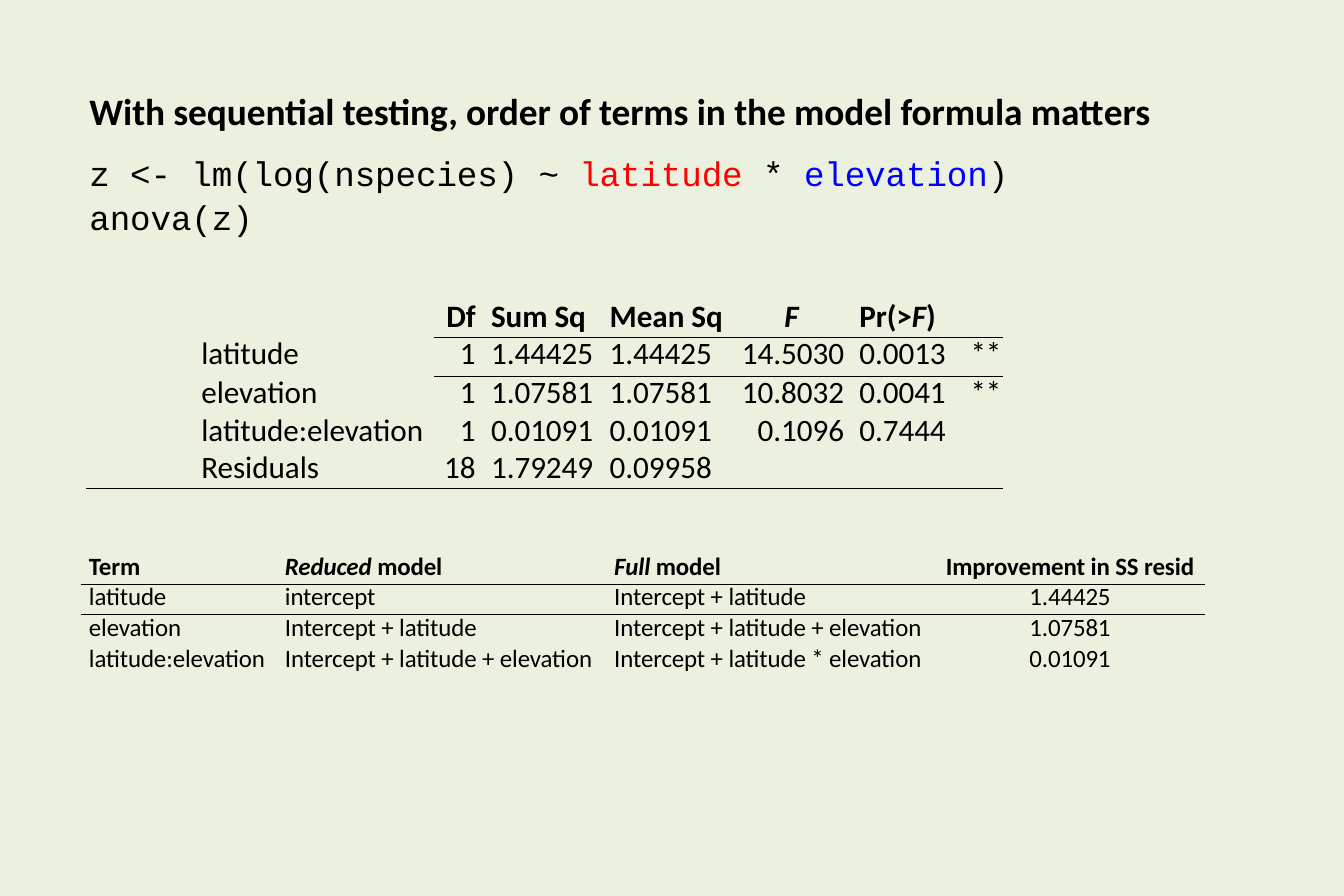
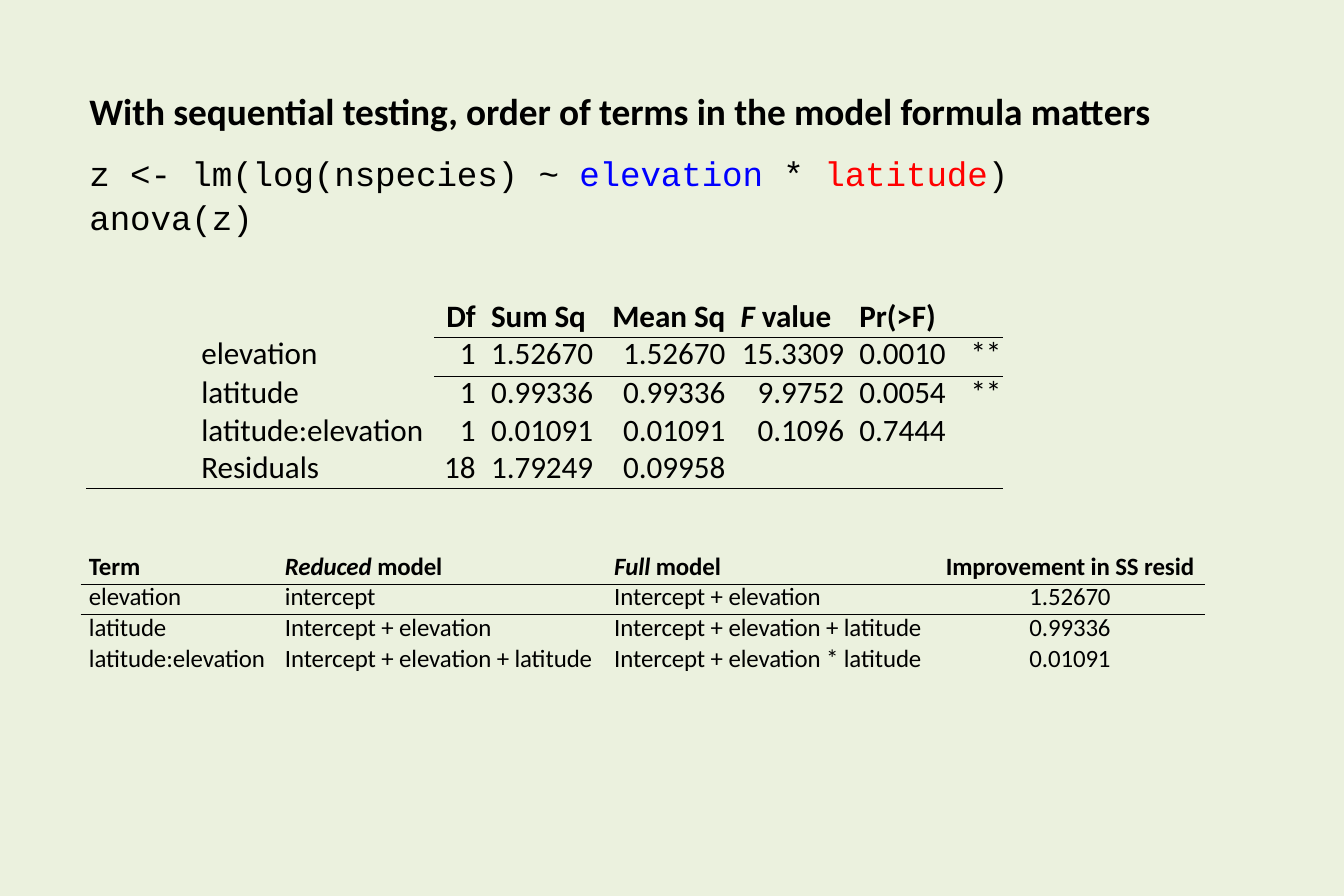
"""Build two slides on term order in sequential testing."""
from lxml import etree
from pptx import Presentation
from pptx import util as u
from pptx.dml import color
from pptx.enum import text
from pptx.oxml import ns

BACKGROUND, INK = "EBF1DE", "000000"
TERM_COLOURS = {"latitude": "FF0000", "elevation": "0000FF"}
BODY_FONT, CODE_FONT = "Calibri", "Courier New"
TITLE = "With sequential testing, order of terms in the model formula matters"
LEFT = 57.5
CELL_LEFT, CELL_RIGHT, LABEL_INDENT = 5.4, 4.5, 74.2
STAR_TAB = 71.5
NO_GRID_STYLE = "{2D5ABB26-0587-4C30-8999-92F81FD0307C}"
ALIGNMENTS = {
    "l": text.PP_ALIGN.LEFT,
    "c": text.PP_ALIGN.CENTER,
    "r": text.PP_ALIGN.RIGHT,
}


def rgb(value):
    """Return a colour from a hex string."""
    return color.RGBColor.from_string(value)


def format_paragraph(paragraph, size, name=BODY_FONT, bold=False, align="l", spacing=None):
    """Set the font, alignment and line spacing of a paragraph."""
    font = paragraph.font
    font.size, font.name, font.bold = u.Pt(size), name, bold
    font.color.rgb = rgb(INK)
    paragraph.alignment = ALIGNMENTS[align]
    if spacing:
        paragraph.line_spacing = u.Pt(spacing)


def add_run(paragraph, words, colour=None, italic=None):
    """Add one slightly tightened run to a paragraph."""
    run = paragraph.add_run()
    run.text = words
    run.font.italic = italic
    if colour:
        run.font.color.rgb = rgb(colour)
    run._r.get_or_add_rPr().set("spc", "-5")


def add_marked_text(paragraph, words):
    """Add text in which underscores enclose italics."""
    for index, part in enumerate(words.split("_")):
        if part:
            add_run(paragraph, part, italic=True if index % 2 else None)


def add_tab_stop(paragraph, position):
    """Add a left tab stop before the paragraph's default font."""
    properties = paragraph._p.get_or_add_pPr()
    tabs = etree.Element(ns.qn("a:tabLst"))
    etree.SubElement(tabs, ns.qn("a:tab"), pos=str(u.Pt(position)), algn="l")
    properties.find(ns.qn("a:defRPr")).addprevious(tabs)


def add_bottom_border(cell):
    """Draw a thin line under a cell."""
    properties = cell._tc.get_or_add_tcPr()
    line = etree.Element(ns.qn("a:lnB"), w=str(u.Pt(0.5)))
    fill = etree.SubElement(line, ns.qn("a:solidFill"))
    etree.SubElement(fill, ns.qn("a:srgbClr"), val=INK)
    properties.insert(0, line)


def clear_margins(frame):
    """Remove the insets of a text frame and anchor it at the top."""
    frame.margin_left = frame.margin_top = frame.margin_right = frame.margin_bottom = 0
    frame.vertical_anchor = text.MSO_ANCHOR.TOP


def add_table(slide, left, top, widths, heights):
    """Add an unfilled table without a grid and with no cell margins."""
    frame = slide.shapes.add_table(
        len(heights), len(widths), u.Pt(left), u.Pt(top), u.Pt(sum(widths)), u.Pt(sum(heights))
    )
    table = frame.table
    table._tbl.tblPr.find(ns.qn("a:tableStyleId")).text = NO_GRID_STYLE
    table.first_row = table.horz_banding = False
    for column, width in zip(table.columns, widths):
        column.width = u.Pt(width)
    for row, height in zip(table.rows, heights):
        row.height = u.Pt(height)
    for cell in table.iter_cells():
        cell.fill.background()
        cell.margin_left = cell.margin_right = cell.margin_top = cell.margin_bottom = 0
    return table


def fill_cell(cell, words, size, align="l", bold=False, spacing=None):
    """Write one table cell with the side margin its alignment needs."""
    if not words:
        return
    paragraph = cell.text_frame.paragraphs[0]
    format_paragraph(paragraph, size, bold=bold, align=align, spacing=spacing)
    add_marked_text(paragraph, words)
    if align == "l":
        cell.margin_left = u.Pt(CELL_LEFT)
    elif align == "r":
        cell.margin_right = u.Pt(CELL_RIGHT)
    if "\t" in words:
        add_tab_stop(paragraph, STAR_TAB)


def add_anova_table(slide, headers, header_aligns, rows, aligns):
    """Add the analysis of variance under its command."""
    table = add_table(
        slide, 55.3, 134, [224, 31, 76.3, 84.2, 76.3, 97.8], [40.2, 42.5, 25] + [24.2] * 3
    )
    command = table.cell(0, 0)
    command.margin_left = u.Pt(2.2)
    paragraph = command.text_frame.paragraphs[0]
    format_paragraph(paragraph, 22, CODE_FONT, spacing=21.1)
    add_run(paragraph, "anova(z)")
    table.cell(0, 1).merge(table.cell(0, 5))
    for column, (words, align) in enumerate(zip(headers, header_aligns)):
        cell = table.cell(1, column)
        cell.margin_top = u.Pt(17.2)
        fill_cell(cell, words, 20, align, bold=True)
    for row, values in enumerate(rows, start=2):
        for column, (words, align) in enumerate(zip(values, aligns)):
            fill_cell(table.cell(row, column), words, 20, align, spacing=23.1)
        table.cell(row, 0).margin_left = u.Pt(LABEL_INDENT)
    for column in range(6):
        for row in (1, 2, 5) if column else (5,):
            add_bottom_border(table.cell(row, column))


def add_model_table(slide, first, second, improvements):
    """Add the comparison of reduced and full models."""
    main_effects = f"Intercept + {first} + {second}"
    models = [
        ("Term", "_Reduced_ model", "_Full_ model", "Improvement in SS resid"),
        (first, "intercept", f"Intercept + {first}", improvements[0]),
        (second, f"Intercept + {first}", main_effects, improvements[1]),
        ("latitude:elevation", main_effects, f"Intercept + {first} * {second}", improvements[2]),
    ]
    table = add_table(slide, 51.8, 355.7, [126, 211.7, 211.7, 173.5], [19.7] * 4)
    for row, values in enumerate(models):
        for column, (words, align) in enumerate(zip(values, "lllc")):
            cell = table.cell(row, column)
            fill_cell(cell, words, 16, align, bold=row == 0, spacing=18.5)
            if row < 2:
                add_bottom_border(cell)


def add_title(slide):
    """Fill the title placeholder."""
    frame = slide.shapes.title.text_frame
    clear_margins(frame)
    paragraph = frame.paragraphs[0]
    format_paragraph(paragraph, 24, bold=True)
    add_run(paragraph, TITLE)


def add_formula(slide, first, second):
    """Add the model formula with coloured terms."""
    box = slide.shapes.add_textbox(u.Pt(LEFT), u.Pt(98), u.Pt(620), u.Pt(28))
    frame = box.text_frame
    frame.word_wrap = True
    clear_margins(frame)
    paragraph = frame.paragraphs[0]
    format_paragraph(paragraph, 22, CODE_FONT)
    for words in ("z <- lm(log(nspecies) ~ ", first, " * ", second, ")"):
        add_run(paragraph, words, TERM_COLOURS.get(words))


def add_order_slide(presentation, layout, tests, headers, header_aligns, aligns):
    """Add a slide that tests the two main effects in the given order."""
    slide = presentation.slides.add_slide(layout)
    first, second = (row[0] for row in tests)
    rows = tests + [
        ("latitude:elevation", "1", "0.01091", "0.01091", "0.1096", "0.7444"),
        ("Residuals", "18", "1.79249", "0.09958", "", ""),
    ]
    add_title(slide)
    add_formula(slide, first, second)
    add_anova_table(slide, ("", "Df", "Sum Sq", "Mean Sq") + headers, header_aligns, rows, aligns)
    add_model_table(slide, first, second, [row[2] for row in rows])


def prepare_layout(presentation):
    """Set the shared background and title position."""
    fill = presentation.slide_master.background.fill
    fill.solid()
    fill.fore_color.rgb = rgb(BACKGROUND)
    layout = presentation.slide_layouts.get_by_name("Title Only")
    title = layout.placeholders[0]
    title.left, title.top, title.width, title.height = map(u.Pt, (LEFT, 56.5, 700, 31))
    return layout


def main():
    """Build and save the presentation."""
    presentation = Presentation()
    presentation.slide_width, presentation.slide_height = u.Pt(864), u.Pt(576)
    layout = prepare_layout(presentation)
    latitude_first = [
        ("latitude", "1", "1.44425", "1.44425", "14.5030", "0.0013\t**"),
        ("elevation", "1", "1.07581", "1.07581", "10.8032", "0.0041\t**"),
    ]
    elevation_first = [
        ("elevation", "1", "1.52670", "1.52670", "15.3309", "0.0010\t**"),
        ("latitude", "1", "0.99336", "0.99336", "9.9752", "0.0054\t**"),
    ]
    add_order_slide(presentation, layout, latitude_first, ("_F_", "Pr(>_F_)"), "lrllcl", "lrllrl")
    add_order_slide(presentation, layout, elevation_first, ("_F_ value", "Pr(>F)"), "lrlrll", "lrlrrl")
    presentation.save("out.pptx")


if __name__ == "__main__":
    main()
